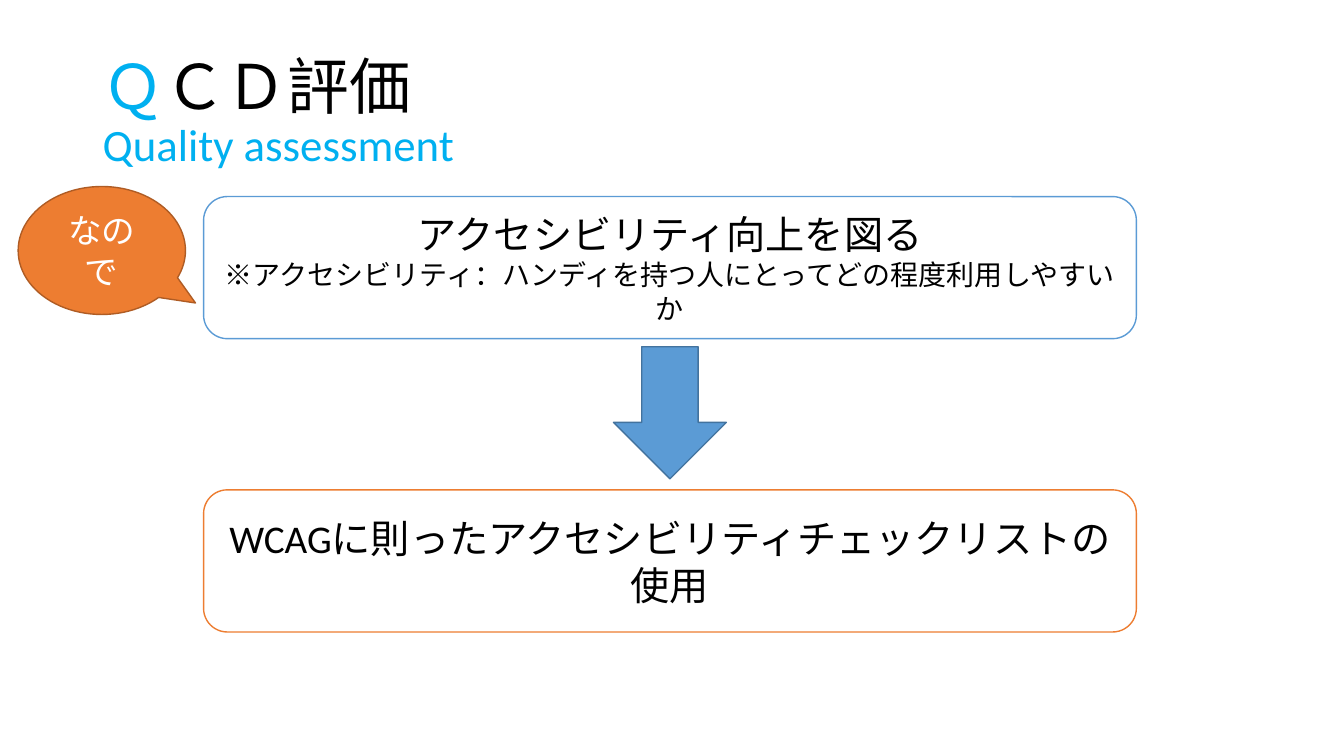
from pptx import Presentation
from pptx import util as u
from pptx.dml.color import RGBColor
from pptx.enum import shapes, text

COLORS = {
    "white": "FFFFFF", "black": "000000", "cyan": "00B0F0",
    "blue": "5B9BD5", "dark_blue": "43739E",
    "orange": "ED7D31", "dark_orange": "AF5C24",
}
FONT = "Calibri"
WIDTH, HEIGHT = u.Inches(13.33), u.Inches(7.5)
COLUMNS = ROWS = 100


def place(box):
    """Turn a (column, row, columns, rows) box into slide lengths."""
    left, top, width, height = box
    return (int(left * WIDTH / COLUMNS), int(top * HEIGHT / ROWS),
            int(width * WIDTH / COLUMNS), int(height * HEIGHT / ROWS))


def color(name):
    """Return the named colour."""
    return RGBColor.from_string(COLORS[name])


def style(span, size, tint):
    """Format one run of text."""
    span.font.name = FONT
    span.font.size = u.Pt(size)
    span.font.color.rgb = color(tint)


def add_figure(page, kind, box, fill, line, lines=(), tint="black"):
    """Add a preset shape holding centred (text, size) lines."""
    figure = page.shapes.add_shape(kind, *place(box))
    figure.shadow.inherit = False
    figure.fill.solid()
    figure.fill.fore_color.rgb = color(fill)
    figure.line.color.rgb = color(line)
    figure.line.width = u.Pt(1)
    frame = figure.text_frame
    frame.word_wrap = True
    frame.vertical_anchor = text.MSO_ANCHOR.MIDDLE
    frame.text = "\n".join(words for words, size in lines)
    for para, (words, size) in zip(frame.paragraphs, lines):
        para.alignment = text.PP_ALIGN.CENTER
        for span in para.runs:
            style(span, size, tint)
    return figure


def add_title(page, box):
    """Add the two-line heading with its accented letter."""
    frame = page.shapes.add_textbox(*place(box)).text_frame
    frame.word_wrap = True
    frame.vertical_anchor = text.MSO_ANCHOR.MIDDLE
    para = frame.paragraphs[0]
    para.line_spacing = 0.9
    for words, size, tint in (("Ｑ", 44, "cyan"), ("ＣＤ評価", 44, "black"),
                              ("Quality assessment", 32, "cyan")):
        if size == 32:
            para.add_line_break()
        span = para.add_run()
        span.text = words
        style(span, size, tint)


def add_flow(page, box):
    """Add the goal, the arrow below it and the resulting measure."""
    left, top, width, height = box
    card = 18.8
    arrow_width, arrow_height, gap = 8.4, 17.47, 1.07
    rounded = shapes.MSO_SHAPE.ROUNDED_RECTANGLE
    goal = (("アクセシビリティ向上を図る", 28),
            ("※アクセシビリティ：ハンディを持つ人にとってどの程度利用しやすいか", 20))
    measure = (("WCAGに則ったアクセシビリティチェックリストの使用", 28),)
    add_figure(page, rounded, (left, top, width, card), "white", "blue", goal)
    add_figure(page, rounded, (left, top + height - card, width, card),
               "white", "orange", measure)
    add_figure(page, shapes.MSO_SHAPE.DOWN_ARROW,
               (left + (width - arrow_width) / 2, top + card + gap,
                arrow_width, arrow_height), "blue", "dark_blue")


def add_callout(page, box):
    """Add the speech bubble pointing at the goal."""
    bubble = add_figure(page, shapes.MSO_SHAPE.OVAL_CALLOUT, box, "orange",
                        "dark_orange", (("なので", 24),), "white")
    bubble.adjustments[0] = 0.56
    bubble.adjustments[1] = 0.41


def main():
    """Build and save the deck."""
    deck = Presentation()
    deck.slide_width, deck.slide_height = WIDTH, HEIGHT
    page = deck.slides.add_slide(deck.slide_layouts[6])
    add_title(page, (6.9, 5.33, 86.25, 19.33))
    add_flow(page, (15.15, 26, 69.4, 57.6))
    add_callout(page, (1.35, 24.67, 12.45, 16.93))
    deck.save("out.pptx")


if __name__ == "__main__":
    main()
